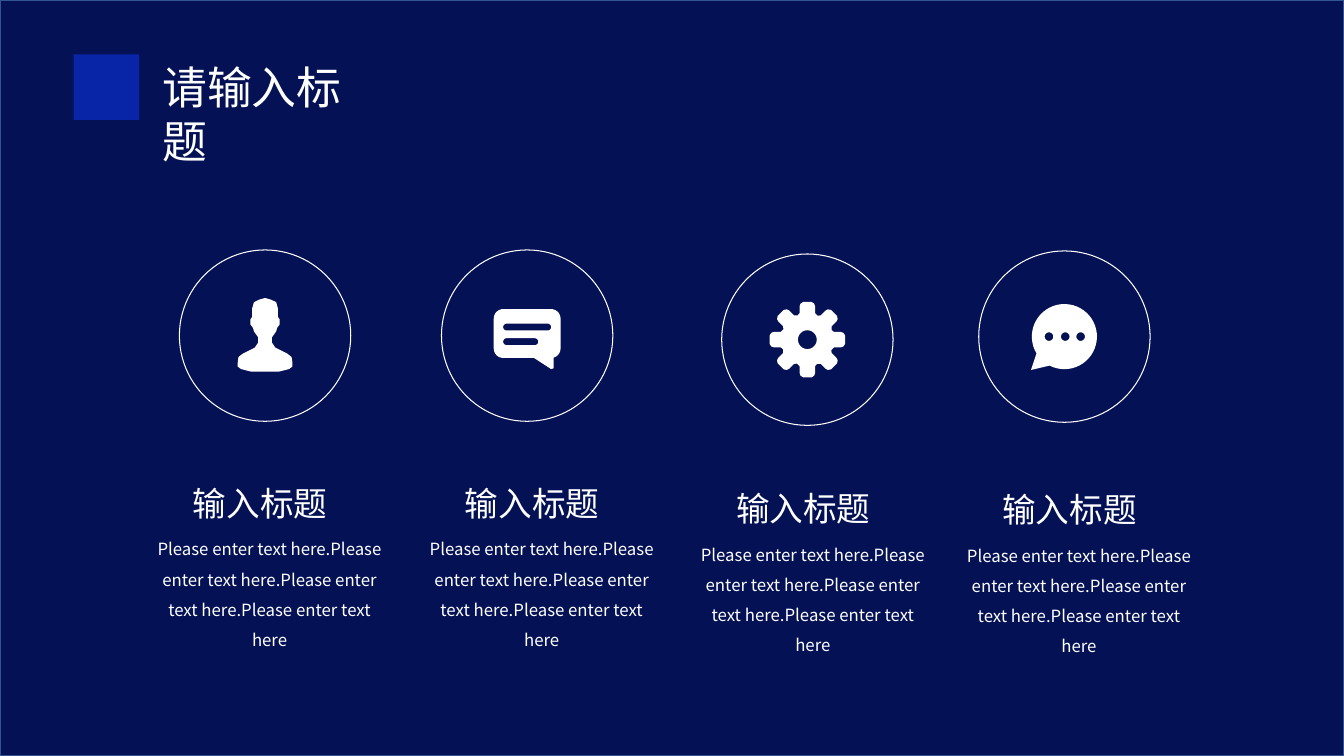
from math import cos, radians, sin

from lxml.etree import SubElement
from pptx import Presentation
from pptx.dml.color import RGBColor
from pptx.enum.shapes import MSO_SHAPE
from pptx.enum.text import MSO_ANCHOR, MSO_AUTO_SIZE, PP_ALIGN
from pptx.oxml.ns import qn
from pptx.util import Inches, Pt

COLORS = {"canvas": "BFBFBF", "navy": "041255", "edge": "325491",
          "accent": "0824A7", "white": "FFFFFF"}
FONT = "Noto Sans CJK SC"
WIDTH, HEIGHT = Inches(13.333), Inches(7.5)
COLUMNS = 160  # square grid cells across the slide, 90 down
CELL = WIDTH / COLUMNS
CIRCLE = 20.4  # circle diameter in cells
BODY_OFFSET = 5.52  # rows from heading top to body top
BODY_TEXT = "Please enter text here." * 3 + "Please enter text here"


def color(name):
    return RGBColor.from_string(COLORS[name])


def cells(*values):
    return [round(value * CELL) for value in values]


# Icon outlines, in shares of the circle's radius around its centre
def arc(x, y, radius, start=0, end=360, steps=32):
    angles = [radians(start + (end - start) * i / steps) for i in range(steps + 1)]
    return [(x + radius * cos(a), y + radius * sin(a)) for a in angles]


def capsule(left, right, y, radius):
    return (arc(right - radius, y, radius, -90, 90, 12)
            + arc(left + radius, y, radius, 90, 270, 12))


def person_icon():
    half = [(0, -.44), (.07, -.42), (.13, -.39), (.15, -.32), (.15, -.22),
            (.17, -.19), (.17, -.13), (.14, -.09), (.13, -.05), (.08, .02),
            (.08, .08), (.12, .14), (.26, .21), (.31, .25), (.32, .32),
            (.32, .36), (.28, .39), (.16, .42), (0, .42)]
    return [half + [(-x, y) for x, y in reversed(half)]]


def message_icon():
    radius = .11
    left, top, right, bottom = -.39 + radius, -.31 + radius, .39 - radius, .26 - radius
    tail = [(.31, .26), (.31, .38), (.28, .39), (.08, .26)]
    outline = (arc(left, top, radius, 180, 270, 8) + arc(right, top, radius, 270, 360, 8)
               + arc(right, bottom, radius, 0, 75, 8) + tail
               + arc(left, bottom, radius, 90, 180, 8))
    return [outline, capsule(-.28, .28, -.1, .04), capsule(-.28, .13, .07, .04)]


def gear_icon():
    half = [(-.09, -.31), (-.09, -.39), (-.08, -.42), (-.05, -.44)]
    tooth = half + [(-x, y) for x, y in reversed(half)] + [(.12, -.28)]
    outline = []
    for turn in range(0, 360, 45):
        c, s = cos(radians(turn)), sin(radians(turn))
        outline += [(x * c - y * s, x * s + y * c) for x, y in tooth]
    return [outline, arc(0, 0, .11)]


def chat_icon():
    outline = arc(0, 0, .38, 149, 477, 48) + [(-.39, .39)]
    return [outline] + [arc(x, 0, .05) for x in (-.18, .01, .19)]


def paint(shape, fill=None, line=None, weight=1):
    shape.shadow.inherit = False
    if fill:
        shape.fill.solid()
        shape.fill.fore_color.rgb = color(fill)
    else:
        shape.fill.background()
    if line:
        shape.line.color.rgb = color(line)
        shape.line.width = Pt(weight)
    else:
        shape.line.fill.background()


def add_preset(page, kind, place, **style):
    paint(page.shapes.add_shape(kind, *cells(*place)), **style)


def add_icon(page, contours, left, top):
    radius = CIRCLE / 2
    drawn = [[cells(left + radius * (1 + x), top + radius * (1 + y)) for x, y in contour]
             for contour in contours]
    builder = page.shapes.build_freeform(*drawn[0][0])
    builder.add_line_segments(drawn[0][1:], close=True)
    for hole in drawn[1:]:
        builder.move_to(*hole[0])
        builder.add_line_segments(hole[1:], close=True)
    paint(builder.convert_to_shape(), fill="white")


def write(box, text, size, align=PP_ALIGN.CENTER, spacing=1.0, wrap=True):
    frame = box.text_frame
    frame_format = {"word_wrap": wrap, "auto_size": MSO_AUTO_SIZE.SHAPE_TO_FIT_TEXT,
                    "vertical_anchor": MSO_ANCHOR.TOP}
    for name, value in frame_format.items():
        setattr(frame, name, value)
    para = frame.paragraphs[0]
    para.alignment, para.line_spacing = align, spacing
    span = para.add_run()
    span.text = text
    for name, value in {"name": FONT, "size": Pt(size)}.items():
        setattr(span.font, name, value)
    span.font.color.rgb = color("white")
    SubElement(span._r.get_or_add_rPr(), qn("a:ea"), typeface=FONT)


def add_text(page, place, text, size, **style):
    write(page.shapes.add_textbox(*cells(*place)), text, size, **style)


def add_title(page, place, text):
    title = page.shapes.title
    for name, value in zip(("left", "top", "width", "height"), cells(*place)):
        setattr(title, name, value)
    write(title, text, 32, align=PP_ALIGN.LEFT, wrap=False)
    # Bring the title in front of the navy panel
    title.element.getparent().append(title.element)


def main():
    deck = Presentation()
    deck.slide_width, deck.slide_height = WIDTH, HEIGHT
    page = deck.slides.add_slide(deck.slide_layouts[5])

    # Background
    page.background.fill.solid()
    page.background.fill.fore_color.rgb = color("canvas")
    add_preset(page, MSO_SHAPE.RECTANGLE, (0, 0, COLUMNS, 90), fill="navy", line="edge")

    # Four topics: icon, circle left and top, text left and top
    topics = [(person_icon(), 21.36, 29.76, 17.52, 56.88),
              (message_icon(), 52.56, 29.76, 49.92, 56.88),
              (gear_icon(), 85.92, 30.24, 82.2, 57.48),
              (chat_icon(), 116.52, 29.88, 113.88, 57.6)]
    for icon, left, top, text_left, text_top in topics:
        add_preset(page, MSO_SHAPE.OVAL, (left, top, CIRCLE, CIRCLE),
                   line="white", weight=.75)
        add_icon(page, icon, left, top)
        add_text(page, (text_left, text_top + BODY_OFFSET, 29.16, 12.12),
                 BODY_TEXT, 12, spacing=1.5)
        add_text(page, (text_left, text_top, 26.88, 6), "输入标题", 24)

    # Slide title with its square
    add_preset(page, MSO_SHAPE.RECTANGLE, (8.76, 6.48, 7.8, 7.8), fill="accent")
    add_title(page, (18.12, 6.48, 29.04, 7.68), "请输入标题")
    deck.save("out.pptx")


if __name__ == "__main__":
    main()
